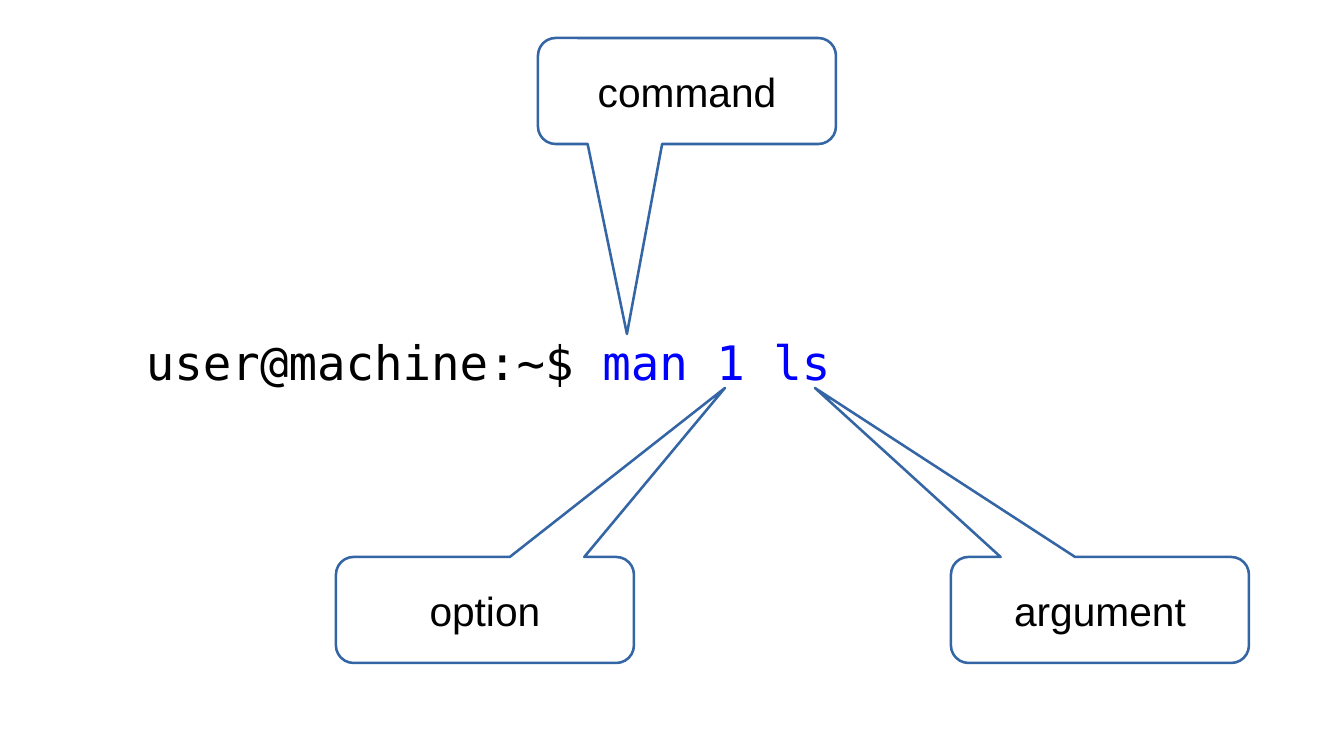
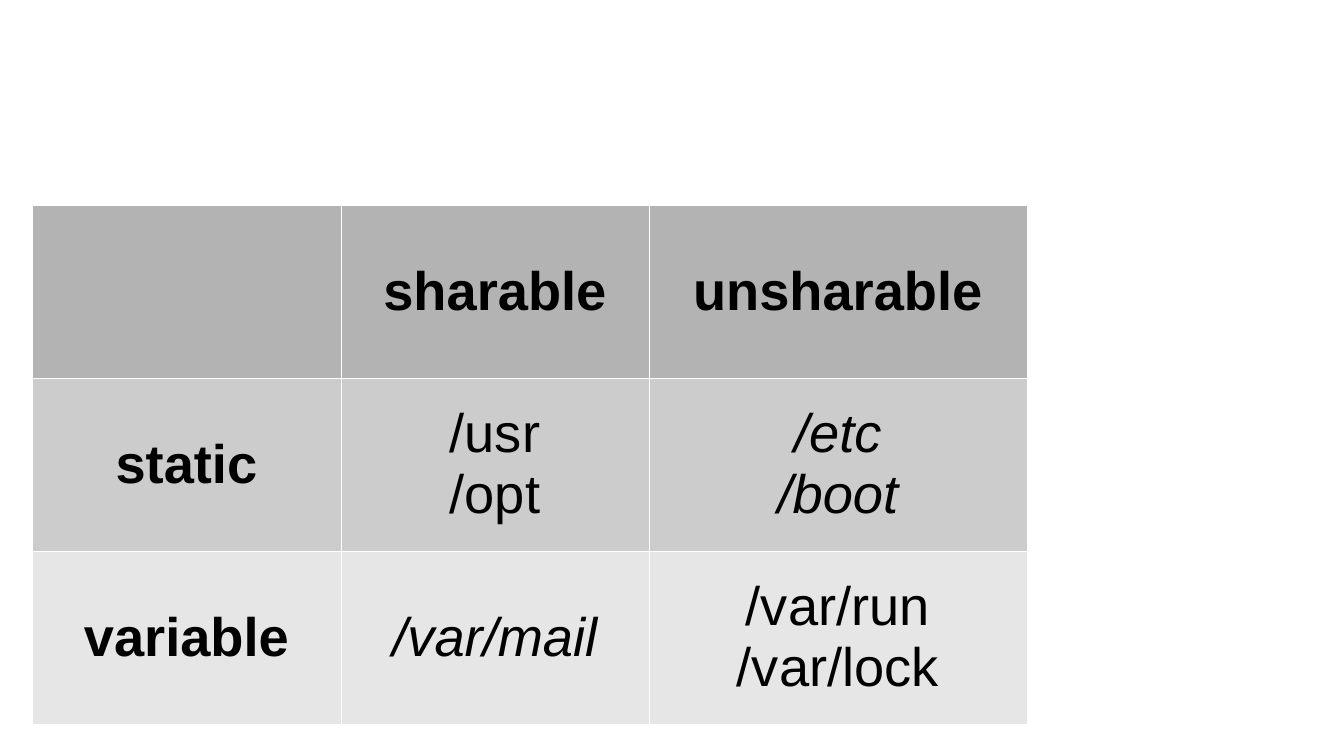
from dataclasses import dataclass

from lxml.etree import SubElement
from pptx import Presentation
from pptx.dml.color import RGBColor
from pptx.enum.shapes import MSO_SHAPE as Shape
from pptx.enum.text import MSO_ANCHOR as Anchor, MSO_AUTO_SIZE as AutoSize, PP_ALIGN as Align
from pptx.oxml.ns import qn
from pptx.util import Pt

EMU_PER_PX = 7495  # 122 px to the inch


@dataclass(frozen=True)
class Theme:
    ink: str = "000000"
    typed: str = "0000FF"
    outline: str = "3465A4"
    grid: str = "FFFFFF"
    row_fills: tuple = ("B3B3B3", "CCCCCC", "E6E6E6")
    sans: str = "Arial"
    mono: str = "DejaVu Sans Mono"
    label_size: int = 24
    prompt_size: int = 28
    table_size: int = 32
    outline_width: float = 1.5
    grid_width: float = 0.06


THEME = Theme()


def px(*lengths):
    return [length * EMU_PER_PX for length in lengths]


def rgb(colour):
    return RGBColor.from_string(colour)


def write(para, text, size, font=THEME.sans, colour=THEME.ink, bold=False, italic=False, align=None):
    """Add one formatted run to a paragraph."""
    if align is not None:
        para.alignment = align
    span = para.add_run()
    span.text = text
    span.font.size = Pt(size)
    span.font.name = font
    span.font.color.rgb = rgb(colour)
    span.font.bold = bold
    span.font.italic = italic


def set_margins(holder, side, end):
    holder.margin_left = holder.margin_right = px(side)[0]
    holder.margin_top = holder.margin_bottom = px(end)[0]


def add_prompt(page, box, prompt, typed):
    frame = page.shapes.add_textbox(*px(*box)).text_frame
    frame.word_wrap = True
    frame.auto_size = AutoSize.SHAPE_TO_FIT_TEXT
    set_margins(frame, 12, 6)
    para = frame.paragraphs[0]
    for text, colour in ((prompt, THEME.ink), (typed, THEME.typed)):
        write(para, text, THEME.prompt_size, font=THEME.mono, colour=colour)


def add_callout(page, box, tip, label):
    """Place a rounded callout in box whose tail ends at tip, a point on the slide."""
    left, top, width, height = box
    callout = page.shapes.add_shape(Shape.ROUNDED_RECTANGULAR_CALLOUT, *px(*box))
    callout.adjustments[0] = (tip[0] - left - width / 2) / width
    callout.adjustments[1] = (tip[1] - top - height / 2) / height
    callout.shadow.inherit = False
    callout.fill.background()
    callout.line.color.rgb = rgb(THEME.outline)
    callout.line.width = Pt(THEME.outline_width)
    frame = callout.text_frame
    frame.word_wrap = False
    frame.vertical_anchor = Anchor.MIDDLE
    set_margins(frame, 13, 7)
    write(frame.paragraphs[0], label, THEME.label_size, align=Align.CENTER)


def add_borders(cell):
    properties = cell._tc.get_or_add_tcPr()
    for side in ("lnL", "lnR", "lnT", "lnB"):
        line = SubElement(properties, qn(f"a:{side}"), w=str(Pt(THEME.grid_width)))
        fill = SubElement(line, qn("a:solidFill"))
        SubElement(fill, qn("a:srgbClr"), val=THEME.grid)


def fill_cell(cell, colour, lines, bold, italic):
    add_borders(cell)
    cell.fill.solid()
    cell.fill.fore_color.rgb = rgb(colour)
    cell.vertical_anchor = Anchor.MIDDLE
    set_margins(cell, 12, 6)
    frame = cell.text_frame
    for index, text in enumerate(lines):
        para = frame.add_paragraph() if index else frame.paragraphs[0]
        write(para, text, THEME.table_size, bold=bold, italic=italic, align=Align.CENTER)


def add_grid(page, left, top, widths, row_height, rows, italic_cells):
    """Place a table whose first row and first column are bold headings."""
    box = px(left, top, sum(widths), row_height * len(rows))
    table = page.shapes.add_table(len(rows), len(widths), *box).table
    table.horz_banding = False
    for column, width in zip(table.columns, px(*widths)):
        column.width = width
    for r, (row, colour) in enumerate(zip(rows, THEME.row_fills)):
        table.rows[r].height = px(row_height)[0]
        for c, lines in enumerate(row):
            heading = r == 0 or c == 0
            fill_cell(table.cell(r, c), colour, lines, heading, (r, c) in italic_cells)


def build_command_page(page):
    add_prompt(page, (134, 327, 1047, 67), "user@machine:~$ ", "man 1 ls")
    callouts = (
        ("command", (538, 38), (627, 334)),
        ("argument", (951, 557), (815, 388)),
        ("option", (336, 557), (725, 388)),
    )
    for label, corner, tip in callouts:
        add_callout(page, (*corner, 298, 106), tip, label)


def build_directory_page(page):
    rows = (
        ((), ("sharable",), ("unsharable",)),
        (("static",), ("/usr", "/opt"), ("/etc", "/boot")),
        (("variable",), ("/var/mail",), ("/var/run", "/var/lock")),
    )
    add_grid(page, 32, 205, (309, 308, 378), 173, rows, {(1, 2), (2, 1)})


def main():
    deck = Presentation()
    deck.slide_width, deck.slide_height = px(1344, 756)
    blank = deck.slide_layouts[6]
    for build in (build_command_page, build_directory_page):
        build(deck.slides.add_slide(blank))
    deck.save("out.pptx")


if __name__ == "__main__":
    main()
